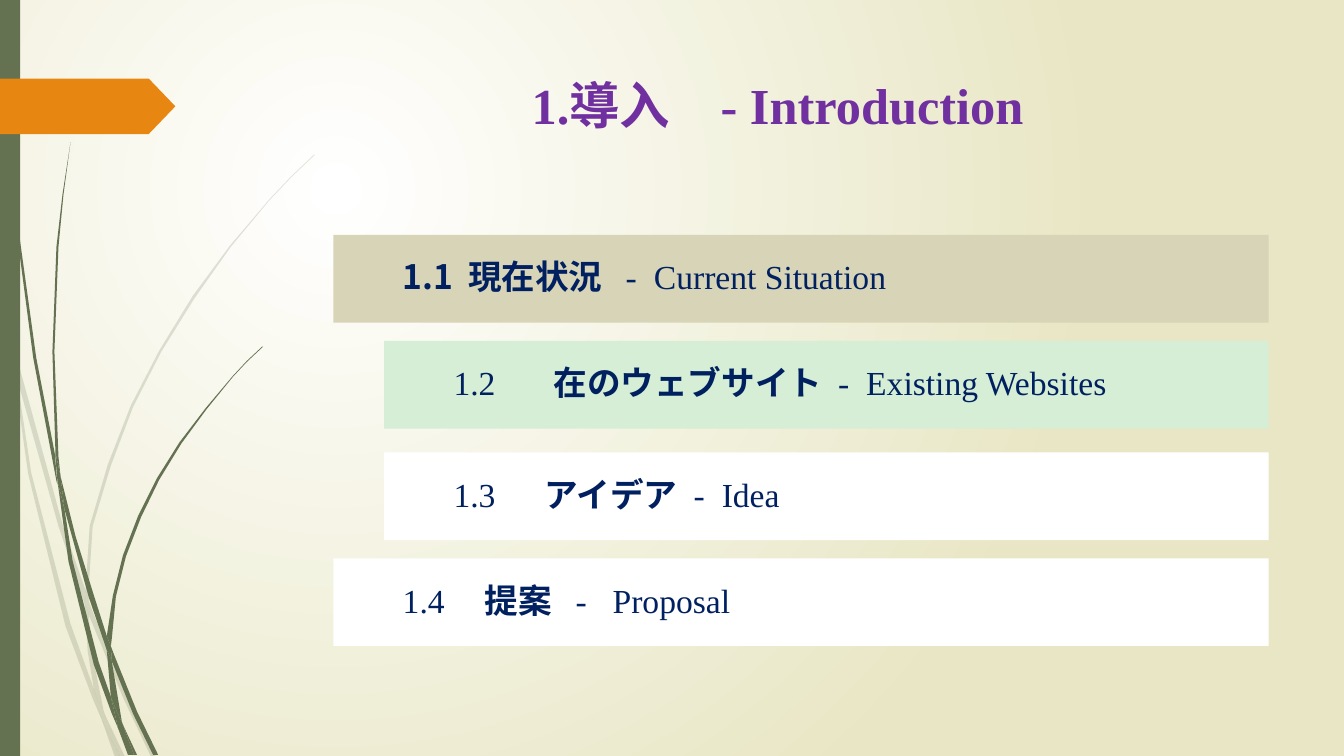
from dataclasses import dataclass

from lxml.etree import SubElement
from pptx import Presentation
from pptx.dml.color import RGBColor
from pptx.enum.shapes import MSO_SHAPE
from pptx.enum.text import MSO_ANCHOR, PP_ALIGN
from pptx.oxml import parse_xml
from pptx.oxml.ns import nsdecls, qn
from pptx.util import Cm, Pt

TITLE = "1.導入　- Introduction"

# number, Japanese name, English name, indented, bold number, fill, tab stops in cm
TOPICS = [
    ("1.1", "現在状況", "Current Situation", False, True, "D8D4B7", (1.65, 5.62, 6.33)),
    ("1.2", "在のウェブサイト", "Existing Websites", True, False, "D5EED5", (2.52, 9.69, 10.4)),
    ("1.3", "アイデア", "Idea", True, False, "FFFFFF", (2.3, 6.05, 6.76)),
    ("1.4", "提案", "Proposal", False, False, "FFFFFF", (2.07, 4.36, 5.29)),
]
ROW_TOPS = (5.92, 8.59, 11.4, 14.07)
ROW_LEFT, ROW_RIGHT, ROW_HEIGHT, ROW_INDENT = 8.4, 31.97, 2.21, 1.28

# Outline points of the grass, in grid units of 0.0254 cm
GRASS_UNIT = Cm(0.0254)
PALE_GRASS = [
    [(11, 350), (9, 322), (0, 282), (0, 299), (10, 344)],
    [(58, 522), (84, 599), (85, 586), (62, 520), (14, 345), (17, 376)],
    [(92, 607), (88, 596), (88, 610), (123, 694), (150, 751), (155, 751), (127, 692)],
    [(119, 751), (124, 751), (105, 711)],
    [(93, 683), (70, 619), (31, 469), (17, 376), (11, 350), (28, 470), (65, 621),
     (92, 693), (101, 714), (99, 707)],
    [(84, 599), (87, 646), (93, 683), (96, 692), (105, 711), (103, 706), (91, 646),
     (88, 610), (88, 608)],
    [(88, 584), (92, 522), (110, 462), (132, 404), (160, 349), (193, 296), (229, 245),
     (268, 198), (290, 175), (312, 154), (312, 153), (289, 175), (268, 197), (228, 244),
     (191, 294), (158, 348), (130, 402), (107, 461), (89, 522), (85, 584), (85, 586),
     (88, 596)],
    [(101, 714), (114, 751), (119, 751)],
    [(88, 608), (88, 610), (88, 596), (85, 586), (84, 599)],
    [(96, 692), (93, 683), (99, 707), (101, 714), (119, 751), (105, 711)],
]
DARK_GRASS = [
    [(7, 110), (17, 233), (33, 355), (56, 477), (57, 481), (55, 457), (55, 453), (36, 355),
     (19, 232), (8, 109), (5, 48), (4, 0), (3, 0), (4, 48)],
    [(88, 592), (106, 645), (106, 633), (106, 631), (93, 590), (75, 532), (60, 472),
     (64, 505)],
    [(113, 649), (110, 641), (111, 656), (132, 708), (152, 749), (157, 749), (136, 706)],
    [(110, 691), (98, 657), (72, 556), (64, 505), (57, 477), (68, 557), (93, 659),
     (111, 708), (117, 722), (116, 717)],
    [(60, 472), (58, 453), (54, 349), (58, 245), (63, 193), (70, 141), (62, 193), (56, 245),
     (52, 349), (55, 449)],
    [(133, 749), (136, 749), (122, 719)],
    [(57, 477), (64, 505), (60, 472), (55, 449), (55, 453)],
    [(111, 633), (115, 592), (125, 552), (140, 513), (158, 476), (180, 440), (205, 406),
     (231, 374), (245, 359), (261, 344), (260, 344), (245, 358), (231, 373), (204, 405),
     (178, 439), (156, 474), (137, 512), (122, 551), (112, 591), (106, 631), (110, 641)],
    [(117, 722), (127, 749), (131, 749)],
    [(106, 645), (110, 691), (116, 706), (122, 719), (121, 716), (111, 656), (109, 651)],
    [(106, 645), (109, 651), (111, 656), (110, 641), (106, 631), (106, 633)],
    [(116, 706), (110, 691), (116, 717), (117, 722), (130, 749), (133, 749), (122, 719)],
]


@dataclass(frozen=True)
class Theme:
    glow: str = "FFFFFF"
    sand: str = "E8E6C4"
    green: str = "647252"
    orange: str = "E78712"
    purple: str = "7030A0"
    navy: str = "002060"
    latin: str = "Times New Roman"
    japanese: str = "Noto Sans CJK SC"
    title_size: int = 36
    topic_size: int = 24


THEME = Theme()


def set_values(target, values):
    for name, value in values.items():
        setattr(target, name, value)


def paint(shape, color, opacity=None):
    shape.shadow.inherit = False
    shape.fill.solid()
    shape.fill.fore_color.rgb = RGBColor.from_string(color)
    shape.line.fill.background()
    if opacity:
        swatch = shape.fill._xPr.find(qn("a:solidFill"))[0]
        SubElement(swatch, qn("a:alpha"), val=str(opacity * 1000))


def add_span(para, text, face, size, color, bold):
    span = para.add_run()
    span.text = text
    set_values(span.font, {"name": face, "size": Pt(size), "bold": bold})
    span.font.color.rgb = RGBColor.from_string(color)
    SubElement(span.font._element, qn("a:ea"), typeface=THEME.japanese)


def set_background(page):
    """Fill the page with a round glow centred in its upper left quarter."""
    page.background.fill.solid()
    properties = page.background._cSld.bg.bgPr
    properties.replace(properties[0], parse_xml(
        f'<a:gradFill {nsdecls("a")} rotWithShape="1"><a:gsLst>'
        f'<a:gs pos="0"><a:srgbClr val="{THEME.glow}"/></a:gs>'
        f'<a:gs pos="100000"><a:srgbClr val="{THEME.sand}"/></a:gs></a:gsLst>'
        '<a:path path="circle"><a:fillToRect l="50000" t="50000" r="100000" b="100000"/>'
        '</a:path></a:gradFill>'))


def add_grass(page, blades, opacity=None):
    group = page.shapes.add_group_shape()
    for first, *others in blades:
        outline = group.shapes.build_freeform(*first, scale=GRASS_UNIT)
        outline.add_line_segments(others, close=True)
        paint(outline.convert_to_shape(), THEME.green, opacity)


def add_title(page):
    title = page.shapes.title
    set_values(title, {"left": Cm(7.21), "top": Cm(1.73), "width": Cm(24.77), "height": Cm(2.03)})
    title.text_frame.vertical_anchor = MSO_ANCHOR.TOP
    para = title.text_frame.paragraphs[0]
    para.alignment = PP_ALIGN.CENTER
    add_span(para, TITLE, THEME.latin, THEME.title_size, THEME.purple, True)


def add_topic(page, top, topic):
    number, name, english, indented, bold_number, fill, stops = topic
    left = ROW_LEFT + ROW_INDENT * indented
    box = page.shapes.add_shape(MSO_SHAPE.RECTANGLE, Cm(left), Cm(top),
                                Cm(ROW_RIGHT - left), Cm(ROW_HEIGHT))
    paint(box, fill)
    set_values(box.text_frame, {
        "word_wrap": True, "vertical_anchor": MSO_ANCHOR.MIDDLE, "margin_left": Cm(1.75),
        "margin_right": Cm(0.18), "margin_top": Cm(0.18), "margin_bottom": Cm(0.18)})
    para = box.text_frame.paragraphs[0]
    set_values(para, {"alignment": PP_ALIGN.LEFT, "line_spacing": 0.9})
    tabs = SubElement(para._p.get_or_add_pPr(), qn("a:tabLst"))
    for stop in stops:
        SubElement(tabs, qn("a:tab"), pos=str(Cm(stop)), algn="l")
    number_face = THEME.japanese if bold_number else THEME.latin
    for text, face, bold in ((f"{number}\t", number_face, bold_number),
                             (f"{name}\t", THEME.japanese, True),
                             (f"-\t{english}", THEME.latin, False)):
        add_span(para, text, face, THEME.topic_size, THEME.navy, bold)


def main():
    deck = Presentation()
    set_values(deck, {"slide_width": Cm(33.87), "slide_height": Cm(19.05)})
    page = deck.slides.add_slide(deck.slide_layouts[5])
    set_background(page)
    add_grass(page, PALE_GRASS, opacity=20)
    add_grass(page, DARK_GRASS)
    side_bar = page.shapes.add_shape(MSO_SHAPE.RECTANGLE, 0, 0, Cm(0.51), deck.slide_height)
    paint(side_bar, THEME.green)
    pointer = page.shapes.add_shape(MSO_SHAPE.PENTAGON, 0, Cm(1.98), Cm(4.42), Cm(1.4))
    pointer.adjustments[0] = 0.48
    paint(pointer, THEME.orange)
    add_title(page)
    for top, topic in zip(ROW_TOPS, TOPICS):
        add_topic(page, top, topic)
    deck.save("out.pptx")


if __name__ == "__main__":
    main()
